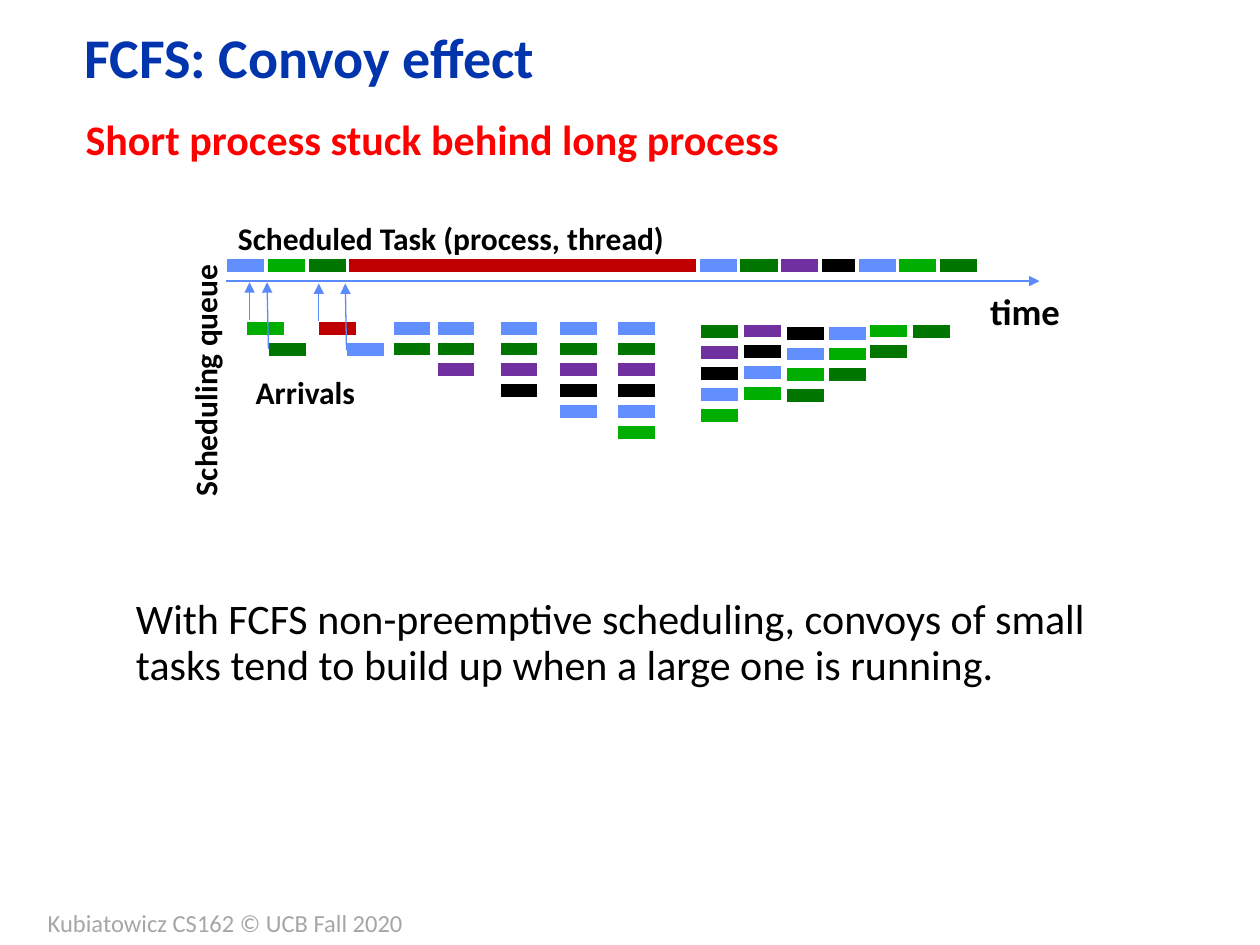
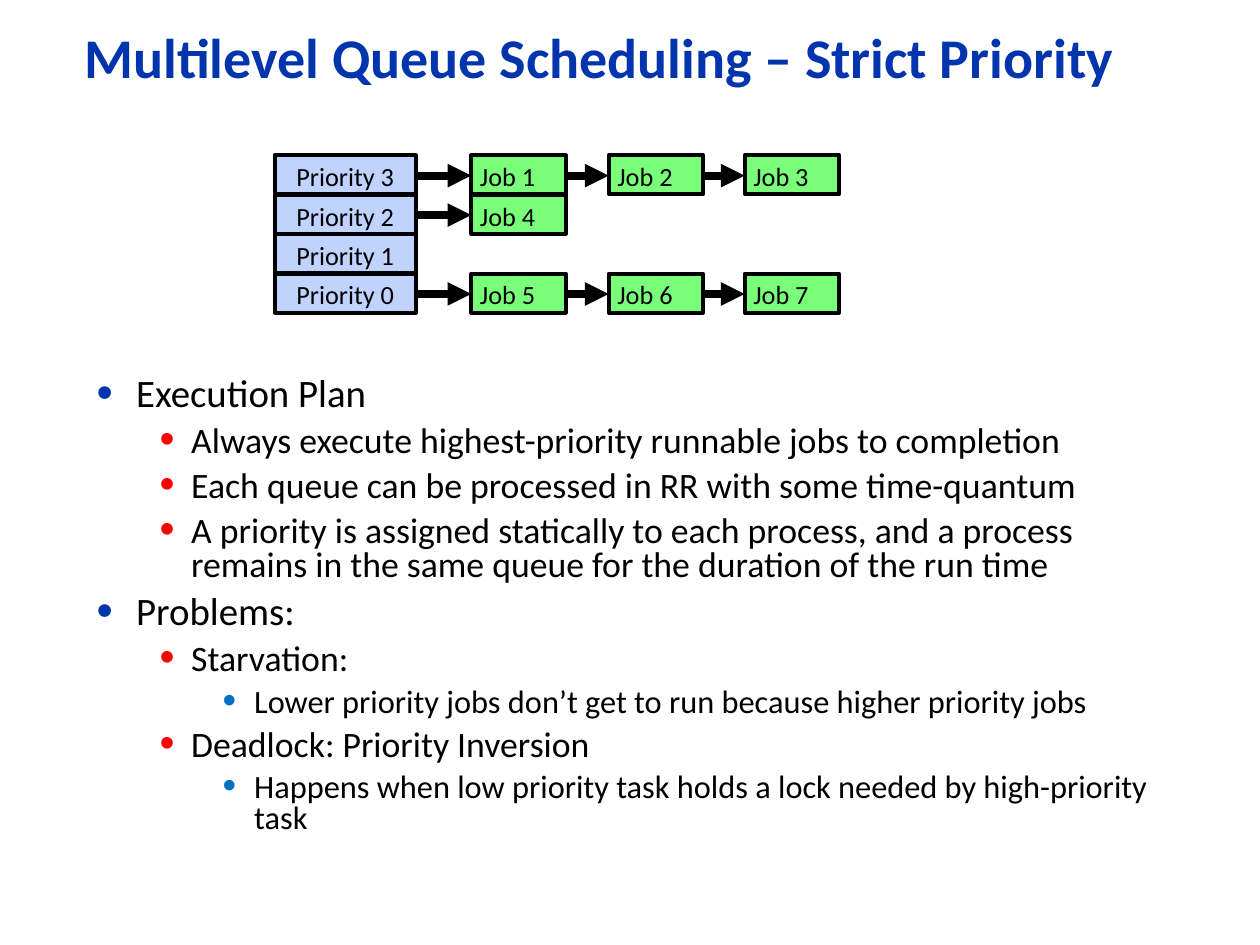
import pptx
import pptx.dml.color
import pptx.enum.shapes
import pptx.enum.text
import pptx.oxml.ns
import pptx.util
import lxml.etree

Pt = pptx.util.Pt
RGBColor = pptx.dml.color.RGBColor
MSO_ANCHOR = pptx.enum.text.MSO_ANCHOR
PP_ALIGN = pptx.enum.text.PP_ALIGN
qn = pptx.oxml.ns.qn

FONT = "Calibri"
WHITE = RGBColor(0xFF, 0xFF, 0xFF)
BLACK = RGBColor(0x00, 0x00, 0x00)
NAVY = RGBColor(0x02, 0x34, 0xAD)
RED = RGBColor(0xFF, 0x00, 0x00)
GREY = RGBColor(0xA6, 0xA6, 0xA6)
ARROW_BLUE = RGBColor(0x5B, 0x8A, 0xFB)
BULLET_BLUE = RGBColor(0x00, 0x70, 0xC0)
BLUE = RGBColor(0x61, 0x8F, 0xFD)
LIME = RGBColor(0x00, 0xAE, 0x00)
GREEN = RGBColor(0x00, 0x76, 0x00)
PURPLE = RGBColor(0x70, 0x30, 0xA0)
CRIMSON = RGBColor(0xC0, 0x00, 0x00)
PRIORITY_FILL = RGBColor(0xC0, 0xD2, 0xFE)
JOB_FILL = RGBColor(0x79, 0xFF, 0x79)


def add_box(slide, x, y, width, height, fill, edge, edge_width):
    box = slide.shapes.add_shape(
        pptx.enum.shapes.MSO_SHAPE.RECTANGLE, Pt(x), Pt(y), Pt(width), Pt(height))
    box.shadow.inherit = False
    box.fill.solid()
    box.fill.fore_color.rgb = fill
    box.line.color.rgb = edge
    box.line.width = Pt(edge_width)
    return box


def add_arrow(slide, x1, y1, x2, y2, color, width):
    arrow = slide.shapes.add_connector(
        pptx.enum.shapes.MSO_CONNECTOR.STRAIGHT, Pt(x1), Pt(y1), Pt(x2), Pt(y2))
    arrow.line.color.rgb = color
    arrow.line.width = Pt(width)
    lxml.etree.SubElement(arrow.line._get_or_add_ln(), qn("a:tailEnd"), type="triangle")
    lxml.etree.SubElement(arrow._element.spPr, qn("a:effectLst"))


deck = pptx.Presentation()
deck.slide_width = Pt(720)
deck.slide_height = Pt(540)

slides = []
for heading, heading_width in (
    ("FCFS: Convoy effect", 563.8),
    ("Multilevel Queue Scheduling – Strict Priority", 630.7),
):
    slide = deck.slides.add_slide(deck.slide_layouts[5])
    title = slide.shapes.title
    title.left, title.top, title.width, title.height = Pt(41), Pt(13.7), Pt(heading_width), Pt(41.8)
    title.text_frame.text = heading
    title.text_frame.auto_size = pptx.enum.text.MSO_AUTO_SIZE.NONE
    title.text_frame.vertical_anchor = MSO_ANCHOR.MIDDLE
    line = title.text_frame.paragraphs[0]
    line.alignment = PP_ALIGN.LEFT
    line.line_spacing = 0.9
    line.font.name = FONT
    line.font.size = Pt(32)
    line.font.bold = True
    line.font.color.rgb = NAVY
    slides.append(slide)
convoy_slide, priority_slide = slides

for text, x, y, width, height, size, color, bold, wrap, spacing, rotation in (
    ("Short process stuck behind long process", 41.8, 67, 582.5, 31, 24, RED, True, True, 0.8, 0),
    ("Scheduled Task (process, thread)", 128.9, 121.7, 260, 28.8, 18, BLACK, True, False, 1, 0),
    ("Scheduling queue", 43.2, 202.3, 147.6, 28.8, 18, BLACK, True, False, 1, 270),
    ("Arrivals", 139, 209.5, 72, 28.8, 18, BLACK, True, False, 1, 0),
    ("time", 558.7, 161.3, 54.7, 32.4, 21, BLACK, True, False, 1, 0),
    ("With FCFS non-preemptive scheduling, convoys of small tasks tend to build up "
     "when a large one is running.", 70.6, 338.4, 581.8, 105.8, 24, BLACK, False, True, 0.9, 0),
    ("Kubiatowicz CS162 © UCB Fall 2020", 20.2, 515.5, 218.9, 24.5, 14, GREY, False, False, 1, 0),
):
    label = convoy_slide.shapes.add_textbox(Pt(x), Pt(y), Pt(width), Pt(height))
    label.rotation = rotation
    label.text_frame.word_wrap = wrap
    label.text_frame.text = text
    line = label.text_frame.paragraphs[0]
    line.line_spacing = spacing
    if wrap:
        line.space_before = Pt(size * (0.2 if bold else 0.3))
    line.font.name = FONT
    line.font.size = Pt(size)
    line.font.bold = bold
    line.font.color.rgb = color

TASK_W, TASK_H = 23.04, 9.36
TASK_PITCH, QUEUE_PITCH = 23.25, 11.9

add_arrow(convoy_slide, 128.9, 160.6, 594, 160.6, ARROW_BLUE, 0.75)

task_x = 128.9
for color, advance in (
    (BLUE, TASK_PITCH), (LIME, TASK_PITCH), (GREEN, TASK_PITCH), (CRIMSON, 200.2),
    (BLUE, TASK_PITCH), (GREEN, TASK_PITCH), (PURPLE, TASK_PITCH), (BLACK, 21),
    (BLUE, TASK_PITCH), (LIME, TASK_PITCH), (GREEN, TASK_PITCH),
):
    add_box(convoy_slide, task_x, 146.9, max(advance, TASK_W), TASK_H, color, WHITE, 2)
    task_x += advance

convoy = [BLUE, GREEN, PURPLE, BLACK, BLUE, LIME, GREEN]
for queue_x, queue_y, first, last in (
    (223.9, 182.9, 0, 2), (249.1, 182.9, 0, 3), (285.1, 182.9, 0, 4),
    (319, 182.9, 0, 5), (352.1, 182.9, 0, 6),
    (399.6, 185, 1, 6), (424.1, 184.5, 2, 6), (448.6, 185.8, 3, 7),
    (473, 185.8, 4, 7), (496.1, 184.5, 5, 7), (520.6, 185, 6, 7),
):
    for place, color in enumerate(convoy[first:last]):
        add_box(convoy_slide, queue_x, queue_y + place * QUEUE_PITCH, TASK_W, TASK_H, color, WHITE, 2)

for arrival_x, arrival_y, color, from_x, from_y, to_x, to_y in (
    (140.4, 182.9, LIME, 142.6, 182.9, 142.6, 161.3),
    (152.6, 195.1, GREEN, 153.4, 199.4, 152.6, 161.3),
    (181.4, 182.9, CRIMSON, 182.2, 183.6, 182.2, 162),
    (197.3, 195.1, BLUE, 198, 200.2, 197.3, 162),
):
    add_box(convoy_slide, arrival_x, arrival_y, TASK_W, TASK_H, color, WHITE, 2)
    add_arrow(convoy_slide, from_x, from_y, to_x, to_y, ARROW_BLUE, 0.75)

PRIORITY_X, PRIORITY_W, JOB_W = 157, 80.6, 54
JOB_XS = (269.3, 347.8, 425.5)
LEVEL_TOP, LEVEL_PITCH, LEVEL_H = 88.7, 22.55, 22.3

for level, names in enumerate((
    ("Priority 3", "Job 1", "Job 2", "Job 3"),
    ("Priority 2", "Job 4"),
    ("Priority 1",),
    ("Priority 0", "Job 5", "Job 6", "Job 7"),
)):
    level_y = LEVEL_TOP + level * LEVEL_PITCH
    previous_right = None
    for name, x in zip(names, (PRIORITY_X, *JOB_XS)):
        is_priority = x == PRIORITY_X
        width = PRIORITY_W if is_priority else JOB_W
        fill = PRIORITY_FILL if is_priority else JOB_FILL
        cell = add_box(priority_slide, x, level_y, width, LEVEL_H, fill, BLACK, 2.25)
        frame = cell.text_frame
        frame.margin_left = frame.margin_right = Pt(5)
        frame.margin_top = frame.margin_bottom = Pt(2.9)
        frame.vertical_anchor = MSO_ANCHOR.TOP
        frame.text = name
        line = frame.paragraphs[0]
        line.alignment = PP_ALIGN.CENTER if is_priority else PP_ALIGN.LEFT
        line.font.name = FONT
        line.font.size = Pt(15)
        line.font.color.rgb = BLACK
        if previous_right:
            middle = level_y + LEVEL_H / 2 + 0.5
            add_arrow(priority_slide, previous_right, middle, x, middle, BLACK, 4.5)
        previous_right = x + width

LEVEL_STYLES = (
    (22.2, 22.5, 22.5, NAVY),
    (20.4, 54, 18, RED),
    (18.5, 90, 18, BULLET_BLUE),
)
outline = priority_slide.shapes.add_textbox(Pt(48.2), Pt(212.4), Pt(624.2), Pt(284.4)).text_frame
outline.word_wrap = True
for index, (depth, text) in enumerate((
    (0, "Execution Plan"),
    (1, "Always execute highest-priority runnable jobs to completion"),
    (1, "Each queue can be processed in RR with some time-quantum"),
    (1, "A priority is assigned statically to each process, and a process remains "
        "in the same queue for the duration of the run time"),
    (0, "Problems:"),
    (1, "Starvation:"),
    (2, "Lower priority jobs don’t get to run because higher priority jobs"),
    (1, "Deadlock: Priority Inversion"),
    (2, "Happens when low priority task holds a lock needed by high-priority task"),
)):
    size, indent, hanging, bullet_color = LEVEL_STYLES[depth]
    point = outline.add_paragraph() if index else outline.paragraphs[0]
    point.text = text
    point.level = depth
    point.line_spacing = 0.8
    point.space_before = Pt(size * 0.3)
    properties = point._p.get_or_add_pPr()
    properties.set("marL", str(Pt(indent)))
    properties.set("indent", str(-Pt(hanging)))
    tint = lxml.etree.SubElement(properties, qn("a:buClr"))
    lxml.etree.SubElement(tint, qn("a:srgbClr"), val=str(bullet_color))
    lxml.etree.SubElement(properties, qn("a:buSzPct"), val="120000")
    lxml.etree.SubElement(properties, qn("a:buFont"), typeface="Arial")
    lxml.etree.SubElement(properties, qn("a:buChar"), char="•")
    point.font.name = FONT
    point.font.size = Pt(size)
    point.font.color.rgb = BLACK

deck.save("out.pptx")
